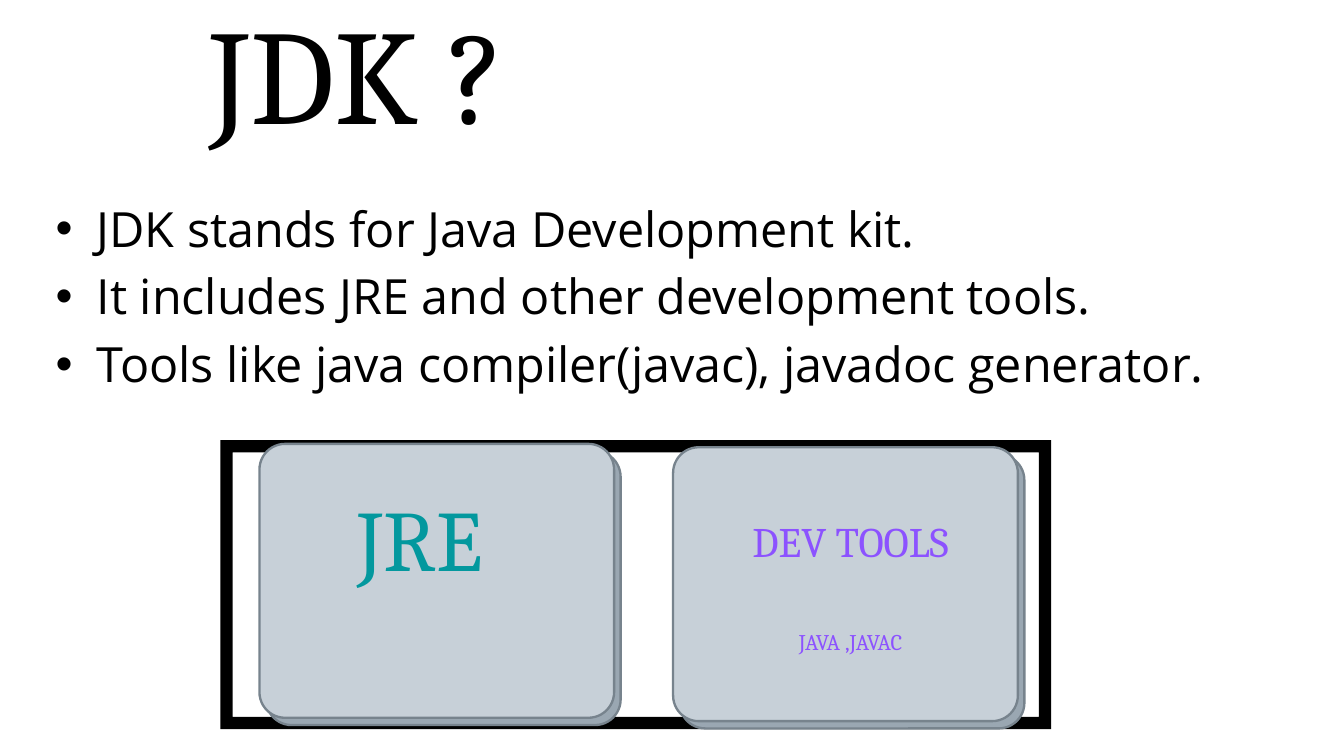
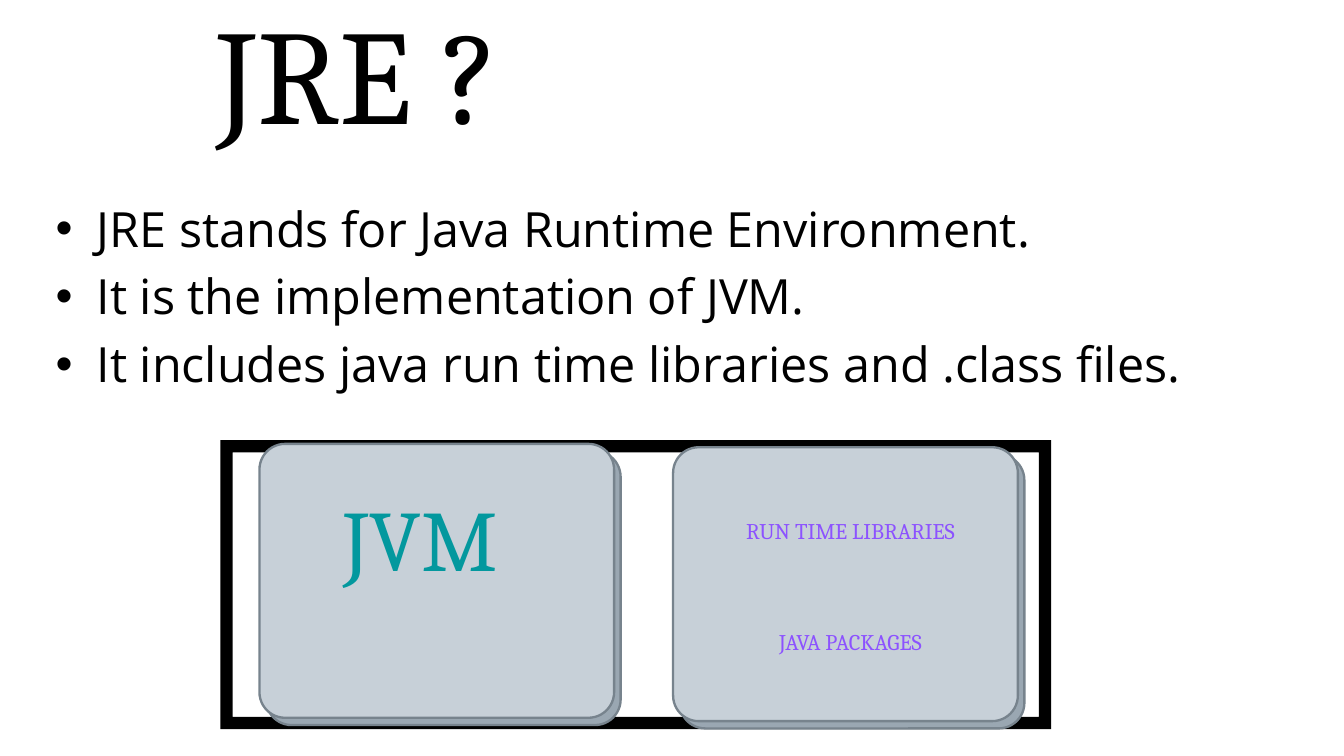
from dataclasses import dataclass

from lxml.etree import SubElement
from pptx import Presentation
from pptx.dml.color import RGBColor
from pptx.enum.shapes import MSO_SHAPE as Preset
from pptx.enum.text import MSO_ANCHOR as Anchor, MSO_AUTO_SIZE as AutoSize, PP_ALIGN as Align
from pptx.oxml.ns import qn
from pptx.util import Pt


@dataclass(frozen=True)
class TextStyle:
    font: str
    size: float
    leading: float
    color: str


@dataclass(frozen=True)
class Theme:
    title = TextStyle("Cambria", 144, 129.6, "000000")
    body = TextStyle("Open Sans", 52, 72.8, "000000")
    core = TextStyle("Cambria", 92.2, 83, "03989E")
    heading = TextStyle("Cambria", 45, 40.5, "8C52FF")
    detail = TextStyle("Cambria", 24, 21.6, "8C52FF")
    frame = "000000"
    card = "C7D0D8"
    card_back = "9AA7B2"
    card_edge = "77838D"


@dataclass(frozen=True)
class Box:
    left: float
    top: float
    width: float
    height: float

    def inner(self, dx, dy, width=None, height=None):
        """A box offset from this one, of the same size unless told otherwise."""
        return Box(self.left + dx, self.top + dy, width or self.width, height or self.height)

    def lengths(self):
        return [Pt(v) for v in (self.left, self.top, self.width, self.height)]


THEME = Theme()
SLIDE_SIZE = (1440, 810)
TITLE_BOX = Box(15, 32.4, 736.6, 140.4)
POINTS_BOX = Box(15, 202.3, 1333.4, 288)
DIAGRAM_BOX = Box(236.2, 471.6, 890, 309.6)
FRAME_THICKNESS = 13
CARD_HEIGHT, CARD_RADIUS, CARD_EDGE = 293.5, 27.5, 2.5
BACK_SHIFT = (7, 7.8)
LABEL_WIDTH = 375

# Title, bullet points, core label, and (text, style, top within card) for the parts
SLIDES = [
    ("JDK ?",
     ["JDK stands for Java Development kit.",
      "It includes JRE and other development tools.",
      "Tools like java compiler(javac), javadoc generator."],
     "JRE",
     [("DEV TOOLS", THEME.heading, 86.8), ("JAVA ,JAVAC", THEME.detail, 201.2)]),
    ("JRE ?",
     ["JRE stands for Java Runtime Environment.",
      "It is the implementation of JVM.",
      "It includes java run time libraries and .class files."],
     "JVM",
     [("RUN TIME LIBRARIES", THEME.detail, 82.4), ("JAVA PACKAGES", THEME.detail, 201.2)]),
]


def prepare_frame(frame):
    frame.margin_left = frame.margin_right = frame.margin_top = frame.margin_bottom = 0
    frame.word_wrap = True
    frame.auto_size = AutoSize.NONE
    frame.vertical_anchor = Anchor.TOP
    return frame


def write(paragraph, text, style, align):
    paragraph.alignment = align
    paragraph.line_spacing = Pt(style.leading)
    run = paragraph.add_run()
    run.text = text
    run.font.name = style.font
    run.font.size = Pt(style.size)
    run.font.color.rgb = RGBColor.from_string(style.color)


def add_bullet(paragraph):
    properties = paragraph._p.get_or_add_pPr()
    properties.set("marL", str(Pt(88.6)))
    properties.set("indent", str(-Pt(44)))
    SubElement(properties, qn("a:buFont"), typeface="Arial")
    SubElement(properties, qn("a:buChar"), char="•")


def place_title(slide, box, text):
    title = slide.shapes.title
    title.left, title.top, title.width, title.height = box.lengths()
    write(prepare_frame(title.text_frame).paragraphs[0], text, THEME.title, Align.CENTER)


def add_points(slide, box, points):
    frame = prepare_frame(slide.shapes.add_textbox(*box.lengths()).text_frame)
    for index, point in enumerate(points):
        paragraph = frame.add_paragraph() if index else frame.paragraphs[0]
        add_bullet(paragraph)
        write(paragraph, point, THEME.body, Align.LEFT)


def add_label(slide, box, text, style):
    frame = prepare_frame(slide.shapes.add_textbox(*box.lengths()).text_frame)
    write(frame.paragraphs[0], text, style, Align.CENTER)


def add_preset(slide, box, preset, corner, fill, edge=None):
    """Add a shape whose adjustment is the length `corner` over its shorter side."""
    shape = slide.shapes.add_shape(preset, *box.lengths())
    shape.adjustments[0] = corner / min(box.width, box.height)
    shape.shadow.inherit = False
    shape.fill.solid()
    shape.fill.fore_color.rgb = RGBColor.from_string(fill)
    if edge:
        shape.line.color.rgb = RGBColor.from_string(edge)
        shape.line.width = Pt(CARD_EDGE)
    else:
        shape.line.fill.background()


def add_card(slide, box):
    for layer, fill in ((box.inner(*BACK_SHIFT), THEME.card_back), (box, THEME.card)):
        add_preset(slide, layer, Preset.ROUNDED_RECTANGLE, CARD_RADIUS, fill, THEME.card_edge)


def add_diagram(slide, box, core, parts):
    add_preset(slide, box, Preset.FRAME, FRAME_THICKNESS, THEME.frame)

    core_card = box.inner(41.8, 4, 380, CARD_HEIGHT)
    add_card(slide, core_card)
    add_label(slide, core_card.inner(-15, 72.4, LABEL_WIDTH, 90), core, THEME.core)

    parts_card = box.inner(485, 7.6, 369.4, CARD_HEIGHT)
    add_card(slide, parts_card)
    for text, style, top in parts:
        label_box = parts_card.inner(2.5, top, LABEL_WIDTH, style.leading)
        add_label(slide, label_box, text, style)


def add_kit_slide(deck, title, points, core, parts):
    slide = deck.slides.add_slide(deck.slide_layouts.get_by_name("Title Only"))
    place_title(slide, TITLE_BOX, title)
    add_points(slide, POINTS_BOX, points)
    add_diagram(slide, DIAGRAM_BOX, core, parts)


def main():
    deck = Presentation()
    deck.slide_width, deck.slide_height = [Pt(side) for side in SLIDE_SIZE]
    for content in SLIDES:
        add_kit_slide(deck, *content)
    deck.save("out.pptx")


if __name__ == "__main__":
    main()
